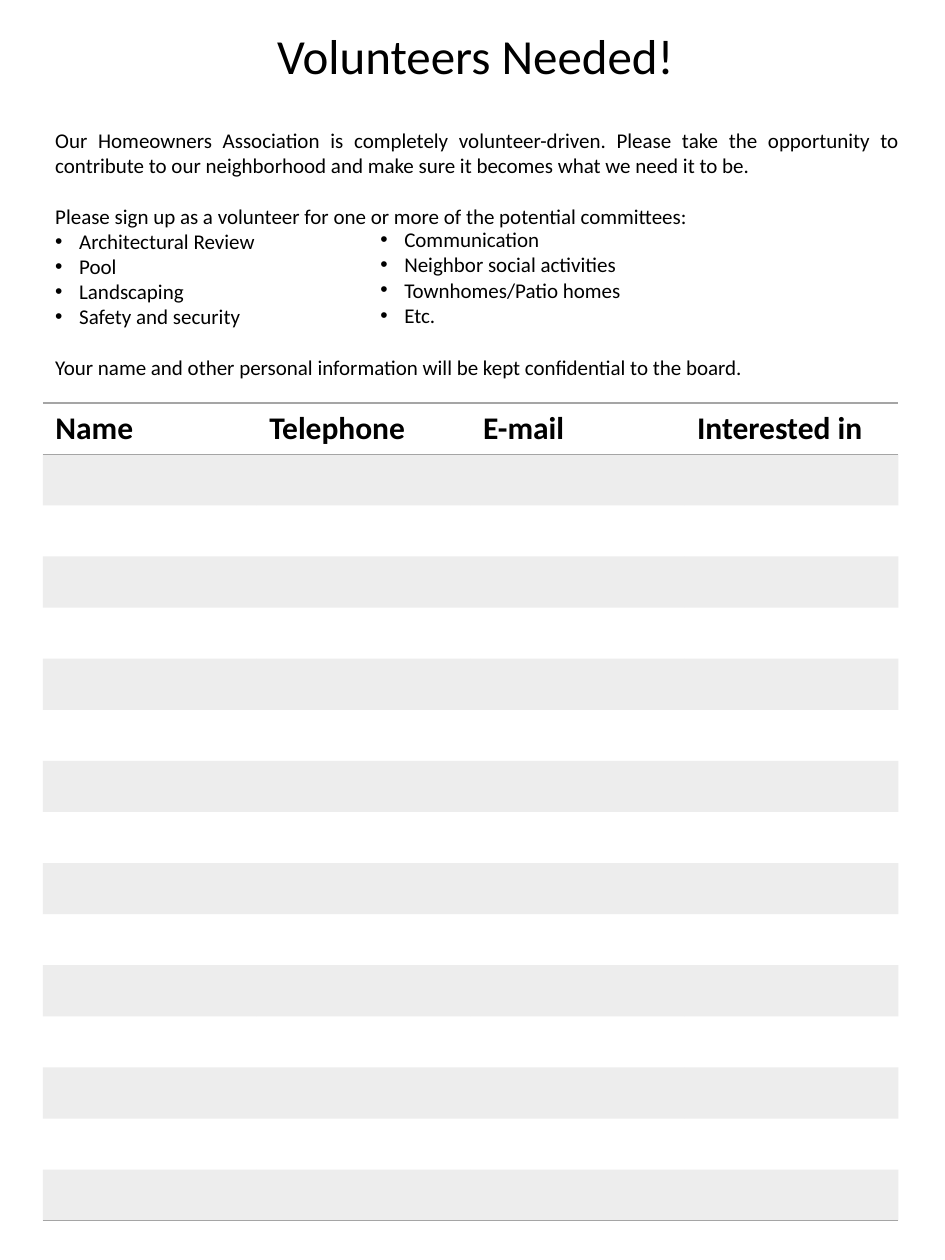
from lxml.etree import SubElement as Sub
from pptx import Presentation
from pptx.dml.color import RGBColor
from pptx.enum.text import MSO_AUTO_SIZE as Auto, PP_ALIGN as Align
from pptx.oxml import parse_xml
from pptx.oxml.ns import nsdecls, qn
from pptx.util import Inches, Pt

BLACK, GRAY = "000000", "A5A5A5"
GAP = 14.65  # one line of 12 pt text
NO_GRID = "{2D5ABB26-0587-4C30-8999-92F81FD0307C}"


def color(code):
    return RGBColor.from_string(code)


def write(frame, text, size=12, bold=False, align=Align.LEFT, before=0, bullet=False):
    """Fill the first paragraph if it is empty, else add one."""
    par = frame.paragraphs[-1]
    if par.runs:
        par = frame.add_paragraph()
    par.alignment = align
    par.space_before = Pt(before)
    run = par.add_run()
    run.text = text
    font = run.font
    font.name, font.size, font.bold = "Calibri", Pt(size), bold
    font.color.rgb = color(BLACK)
    if bullet:
        props = par._p.get_or_add_pPr()
        props.set("marL", str(Inches(0.19)))
        props.set("indent", str(Inches(-0.19)))
        Sub(props, qn("a:buFont"), typeface="Arial")
        Sub(props, qn("a:buChar"), char="•")


prs = Presentation()
prs.slide_width, prs.slide_height = Inches(7.5), Inches(10)
slide = prs.slides.add_slide(prs.slide_layouts[6])

# Text boxes
frames = []
for box, wrap in [
    ((2.1, 0.15, 3.38, 0.57), False),
    ((0.34, 0.96, 6.9, 2.12), True),
    ((2.92, 1.75, 2.91, 0.91), True),
]:
    frame = slide.shapes.add_textbox(*map(Inches, box)).text_frame
    frame.word_wrap = wrap
    frame.auto_size = Auto.SHAPE_TO_FIT_TEXT
    frames.append(frame)
title, body, side = frames

write(title, "Volunteers Needed!", size=28)
write(
    body,
    "Our Homeowners Association is completely volunteer-driven. Please take the "
    "opportunity to contribute to our neighborhood and make sure it becomes what "
    "we need it to be.",
    align=Align.JUSTIFY,
)
write(
    body,
    "Please sign up as a volunteer for one or more of the potential committees:",
    before=GAP,
)
for item in ["Architectural Review", "Pool", "Landscaping", "Safety and security"]:
    write(body, item, bullet=True)
write(
    body,
    "Your name and other personal information will be kept confidential to the board.",
    before=GAP,
)
for item in ["Communication", "Neighbor social activities", "Townhomes/Patio homes", "Etc."]:
    write(side, item, bullet=True)

# Sign-up table
heads = ["Name", "Telephone", "E-mail", "Interested in"]
count = 16
grid = slide.shapes.add_table(
    count, len(heads), Inches(0.34), Inches(3.2), Inches(6.79), Inches(6.49)
).table
grid.first_row = grid.horz_banding = False
grid._tbl.tblPr.find(qn("a:tableStyleId")).text = NO_GRID

for row in range(count):
    edges = {0: ["lnT", "lnB"], count - 1: ["lnB"]}.get(row, [])
    for col, head in enumerate(heads):
        cell = grid.cell(row, col)
        if row == 0:
            write(cell.text_frame, head, size=18, bold=True)
        if row % 2:
            cell.fill.solid()
            cell.fill.fore_color.rgb = color(GRAY)
            tint = cell._tc.tcPr.find(".//" + qn("a:srgbClr"))
            Sub(tint, qn("a:alpha"), val="20000")
        else:
            cell.fill.background()
        for spot, edge in enumerate(edges):
            line = parse_xml(
                f'<a:{edge} {nsdecls("a")} w="{Pt(1)}"><a:solidFill>'
                f'<a:srgbClr val="{GRAY}"/></a:solidFill></a:{edge}>'
            )
            cell._tc.tcPr.insert(spot, line)

prs.save("out.pptx")
